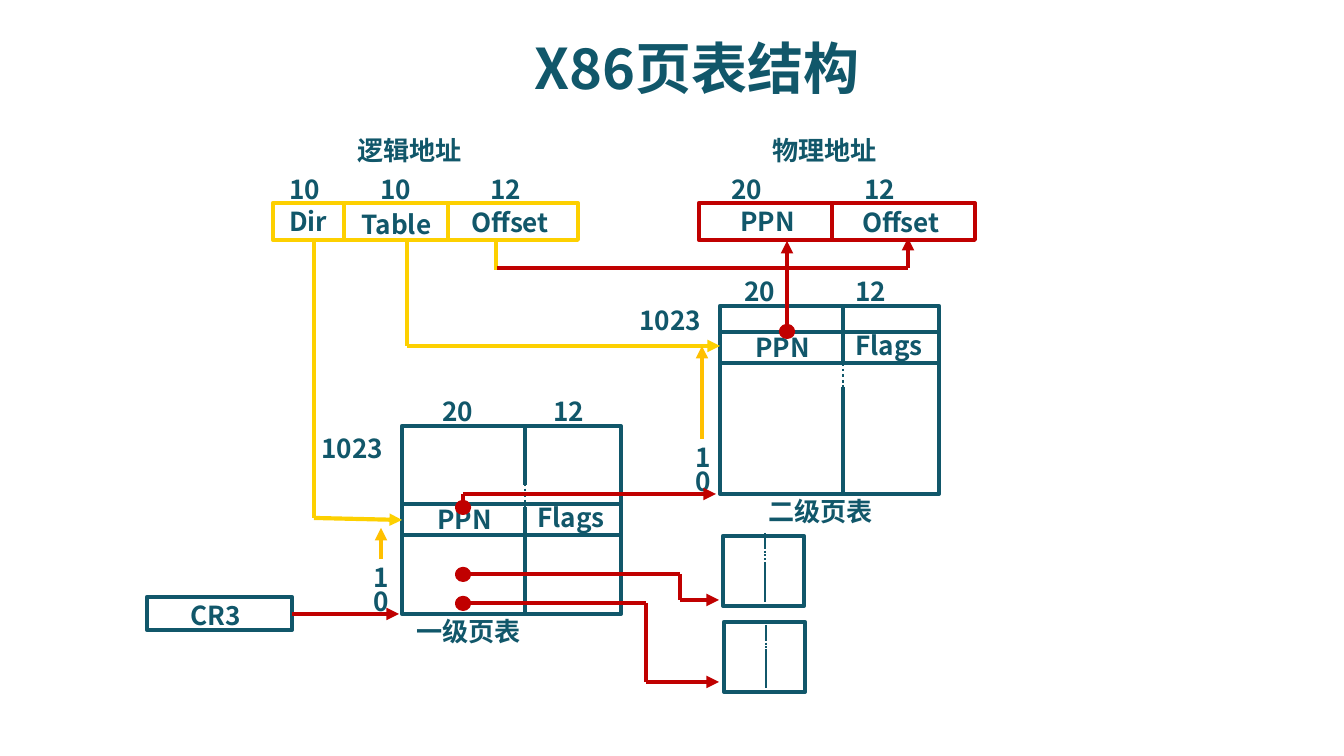
from itertools import pairwise
from lxml.etree import SubElement
from pptx import Presentation
from pptx.dml.color import RGBColor
from pptx.enum.dml import MSO_LINE
from pptx.enum.shapes import MSO_CONNECTOR, MSO_SHAPE
from pptx.enum.text import MSO_ANCHOR, PP_ALIGN
from pptx.oxml.ns import qn
from pptx.util import Pt

SCALE = 914400 / 134.4
FONT = "Noto Sans CJK SC"
COLORS = {"teal": "11576A", "red": "C00000", "yellow": "FDD000", "amber": "FFC000"}
# Widths of the short labels that do not wrap
LABEL_WIDTHS = {"Dir": 65, "Table": 97, "Offset": 109, "PPN": 85, "Flags": 95,
                "10": 59, "12": 59, "20": 59, "1": 43, "0": 43}


def px(*values):
    return [round(value * SCALE) for value in values]


def color(name):
    return RGBColor.from_string(COLORS[name])


def add_text(slide, x, y, text, width=None, height=46, size=14):
    width = width or LABEL_WIDTHS.get(text, 250)
    box = slide.shapes.add_textbox(*px(x, y, width, height))
    box.text_frame.word_wrap = text not in LABEL_WIDTHS
    paragraph = box.text_frame.paragraphs[0]
    paragraph.text = text
    font = paragraph.font
    font.size, font.bold, font.name = Pt(size), True, FONT
    font.color.rgb = color("teal")
    SubElement(font._element, qn("a:ea")).set("typeface", FONT)
    return box


def add_box(slide, x, y, width, height, line, kind=MSO_SHAPE.RECTANGLE, filled=False):
    box = slide.shapes.add_shape(kind, *px(x, y, width, height))
    box.shadow.inherit = False
    if filled:
        box.fill.solid()
        box.fill.fore_color.rgb = color(line)
    else:
        box.fill.background()
    box.line.color.rgb = color(line)
    box.line.width = Pt(2.25)


def add_line(slide, start, end, line="teal", width=2.25, dotted=False, arrow=False):
    stroke = slide.shapes.add_connector(MSO_CONNECTOR.STRAIGHT, *px(*start, *end))
    stroke.line.color.rgb = color(line)
    stroke.line.width = Pt(width)
    if dotted:
        stroke.line.dash_style = MSO_LINE.ROUND_DOT
    if arrow:
        SubElement(stroke.line._get_or_add_ln(), qn("a:tailEnd")).set("type", "triangle")
    SubElement(stroke._element.spPr, qn("a:effectLst"))


def add_wire(slide, line, *points, arrow=True, dot=False):
    """Draw a bent wire that may start at a dot and end in an arrowhead."""
    legs = list(pairwise(points))
    for number, (start, end) in enumerate(legs, 1):
        add_line(slide, start, end, line, arrow=arrow and number == len(legs))
    if dot:
        x, y = points[0]
        add_box(slide, x - 6, y - 5, 12, 11, line, MSO_SHAPE.OVAL, filled=True)


def add_title(slide, x, y, width, height):
    title = add_text(slide, x, y, "X86页表结构", width, height, 30)
    title.text_frame.vertical_anchor = MSO_ANCHOR.MIDDLE
    title.text_frame.paragraphs[0].alignment = PP_ALIGN.CENTER
    title.text_frame.paragraphs[0].line_spacing = 0.95


def add_address(slide, x, y, width, line, caption, caption_x, dividers, fields):
    """Draw an address: fields are (name, name x, name y, bits, bits x)."""
    add_text(slide, x + caption_x, y - 75, caption)
    add_box(slide, x, y, width, 37, line)
    for divider in dividers:
        add_line(slide, (x + divider, y + 1), (x + divider, y + 36), line)
    for name, name_x, name_y, bits, bits_x in fields:
        add_text(slide, x + name_x, y + name_y, name)
        add_text(slide, x + bits_x, y - 36, bits)


def add_page_table(slide, x, y, caption, caption_x, row, bits_x, index_x, top_index_y):
    """Draw a page table whose highlighted entry starts at row."""
    width, height, divider = 219, 188, 123
    add_box(slide, x, y, width, height, "teal")
    add_box(slide, x, y + row, width, 31, "teal")
    for top, bottom, dotted in ((0, 59, False), (81, height, False), (57, 81, True)):
        add_line(slide, (x + divider, y + top), (x + divider, y + bottom),
                 width=1.5 if dotted else 2.25, dotted=dotted)
    add_text(slide, x + 22, y + row - 7, "PPN")
    add_text(slide, x + 122, y + row - 9, "Flags")
    for number, bits in enumerate(("20", "12")):
        add_text(slide, x + bits_x + 111 * number, y - 37, bits)
    add_text(slide, x - 94, y + top_index_y, "1023", 137)
    for digit, digit_y in (("1", 129), ("0", 153)):
        add_text(slide, x + index_x, y + digit_y, digit)
    add_text(slide, x + caption_x, y + 183, caption)


def add_page(slide, x, y, start):
    """Draw a small page with a partly dotted divider."""
    add_box(slide, x, y, 81, 70, "teal")
    for top, bottom, dotted in ((start, start + 15, False),
                                (start + 14, start + 29, True), (27, 66, False)):
        add_line(slide, (x + 42, y + top), (x + 42, y + bottom), width=1, dotted=dotted)


def add_register(slide, x, y):
    add_box(slide, x, y, 145, 33, "teal")
    add_text(slide, x + 30, y - 4, "CR3", 137)


def add_wires(slide):
    # From the logical address
    add_wire(slide, "yellow", (496, 239), (496, 270), arrow=False)
    add_wire(slide, "red", (497, 268), (908, 268), (908, 238))
    add_wire(slide, "yellow", (407, 238), (407, 346), (720, 346))
    add_wire(slide, "yellow", (314, 239), (314, 518), (402, 520))
    # From the register and the table entries
    add_wire(slide, "red", (292, 614), (399, 614))
    add_wire(slide, "red", (463, 507), (463, 494), (716, 494), dot=True)
    add_wire(slide, "red", (463, 574), (680, 574), (680, 600), (719, 600), dot=True)
    add_wire(slide, "red", (463, 603), (646, 603), (646, 682), (719, 682), dot=True)
    add_wire(slide, "red", (787, 331), (787, 241), dot=True)
    # Index direction
    add_wire(slide, "amber", (381, 559), (381, 528))
    add_wire(slide, "amber", (702, 439), (702, 346))


deck = Presentation()
deck.slide_width, deck.slide_height = px(1344, 756)
slide = deck.slides.add_slide(deck.slide_layouts[6])
add_title(slide, 251, 31, 892, 78)
add_address(slide, 273, 203, 305, "yellow", "逻辑地址", 71, (71, 175),
            [("Dir", 3, -4, "10", 3), ("Table", 75, -1, "10", 94),
             ("Offset", 185, -3, "12", 204)])
add_address(slide, 699, 203, 276, "red", "物理地址", 60, (133,),
            [("PPN", 28, -4, "20", 19), ("Offset", 150, -3, "12", 152)])
add_page_table(slide, 720, 306, "二级页表", 35, 26, 11, -38, -8)
add_page_table(slide, 402, 426, "一级页表", 1, 78, 27, -42, 0)
add_register(slide, 147, 597)
add_page(slide, 723, 536, -3)
add_page(slide, 724, 622, 3)
add_wires(slide)
deck.save("out.pptx")
